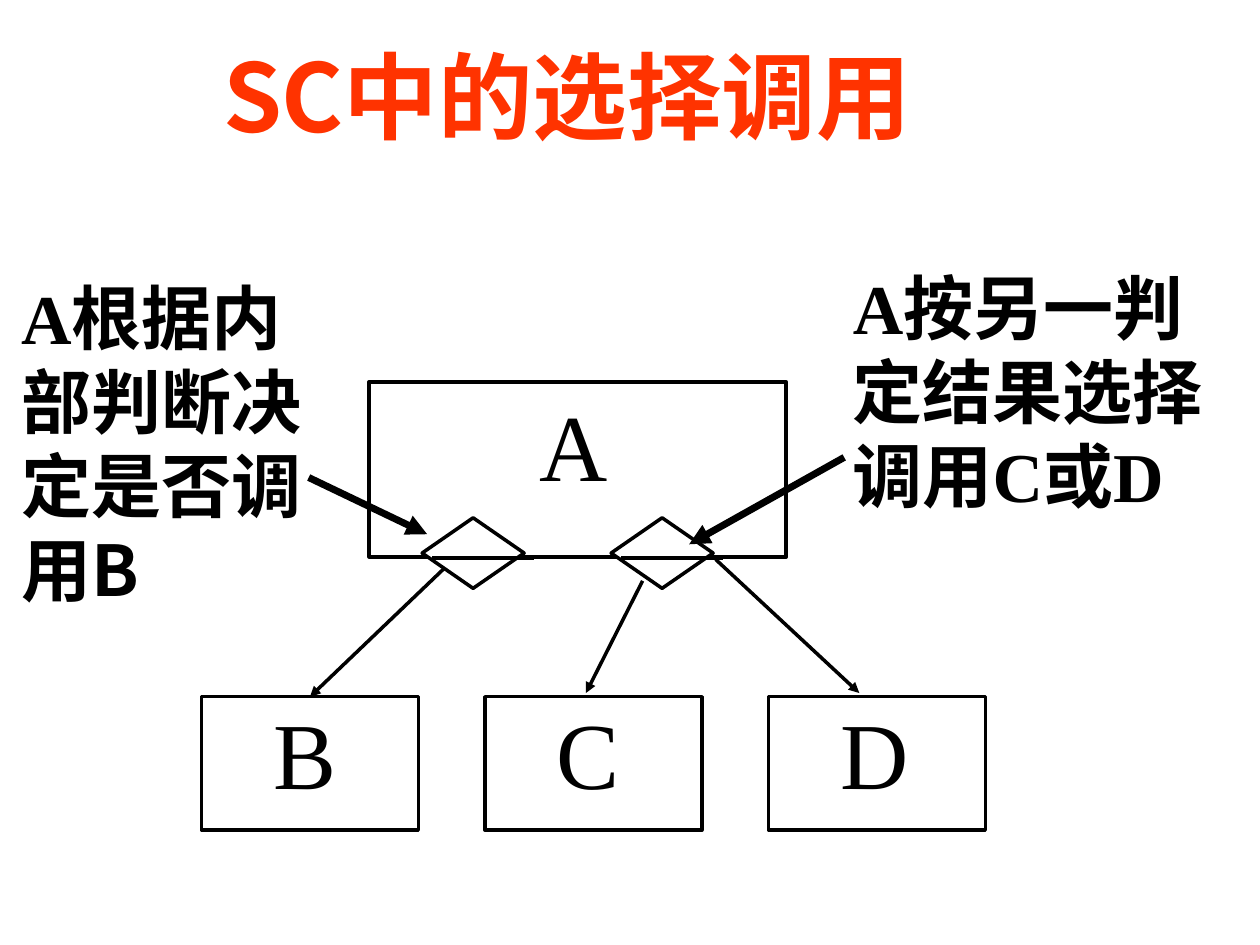
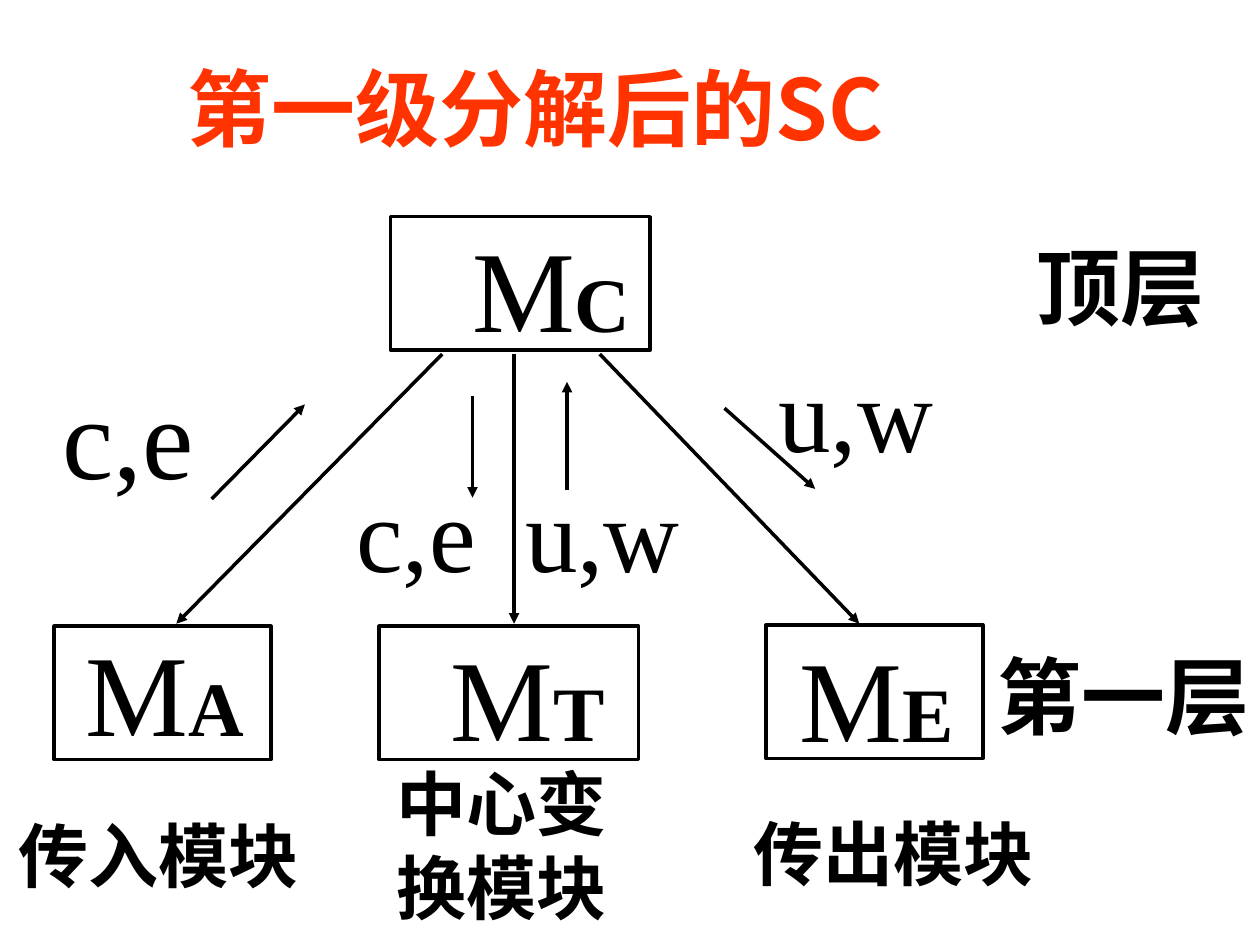
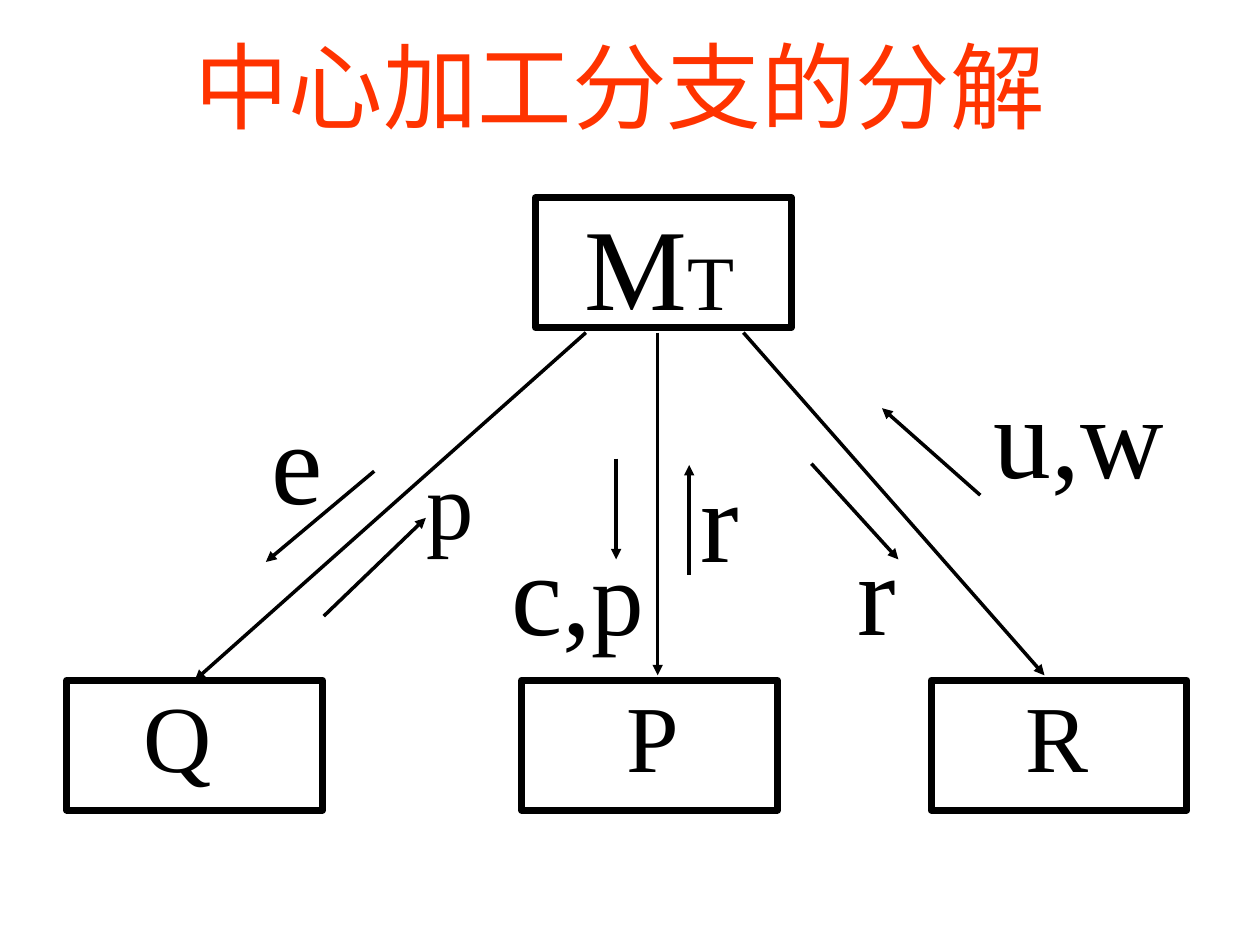
import pptx
import pptx.dml.color
import pptx.enum.shapes
import pptx.enum.text
import pptx.oxml
import pptx.oxml.ns
import pptx.util
from pptx.util import Inches

COLORS = {"title": "FF3300", "ink": "000000", "paper": "FFFFFF"}
FONTS = {"title": "Noto Sans CJK JP", "chinese": "Noto Sans CJK SC", "latin": "Times New Roman"}
SHAPES = pptx.enum.shapes.MSO_SHAPE
ANCHOR = pptx.enum.text.MSO_ANCHOR
ALIGN = pptx.enum.text.PP_ALIGN
AUTO_SIZE = pptx.enum.text.MSO_AUTO_SIZE


def rgb(name):
    return pptx.dml.color.RGBColor.from_string(COLORS[name])


def style_font(font, properties, name, size, bold, color):
    font.name = name
    font.size = pptx.util.Pt(size)
    font.bold = bold
    font.color.rgb = rgb(color)
    east_asian = pptx.oxml.parse_xml(f'<a:ea {pptx.oxml.ns.nsdecls("a")} typeface="{name}"/>')
    properties.find(pptx.oxml.ns.qn("a:latin")).addnext(east_asian)


def write_paragraph(para, spans, color="ink", font_name=None):
    styles = []
    for text, size, bold in spans:
        para.add_run().text = text
        name = font_name or FONTS["latin" if text.isascii() else "chinese"]
        styles.append((name, size, bold, color))
    if len(set(styles)) == 1:
        font = para.font
        properties = para._p.pPr.find(pptx.oxml.ns.qn("a:defRPr"))
        style_font(font, properties, *styles[0])
    else:
        for span, style in zip(para.runs, styles):
            style_font(span.font, span._r.get_or_add_rPr(), *style)


def add_page(deck, title, box, size, bold=True):
    page = deck.slides.add_slide(deck.slide_layouts[5])
    holder = page.shapes.title
    holder.left, holder.top, holder.width, holder.height = map(Inches, box)
    frame = holder.text_frame
    frame.auto_size = AUTO_SIZE.NONE
    frame.vertical_anchor = ANCHOR.MIDDLE
    para = frame.paragraphs[0]
    para.alignment = ALIGN.CENTER
    write_paragraph(para, [(title, size, bold)], "title", FONTS["title"])
    return page


def add_label(page, box, *lines, wrap=False):
    frame = page.shapes.add_textbox(*map(Inches, box)).text_frame
    frame.word_wrap = wrap
    frame.auto_size = AUTO_SIZE.SHAPE_TO_FIT_TEXT
    for index, spans in enumerate(lines):
        para = frame.add_paragraph() if index else frame.paragraphs[0]
        write_paragraph(para, spans)


def add_note(page, box, size, *texts):
    add_label(page, box, *[[(text, size, True)] for text in texts], wrap=True)


def add_outline(page, preset, box, weight=2):
    shape = page.shapes.add_shape(preset, *map(Inches, box))
    shape.shadow.inherit = False
    shape.fill.solid()
    shape.fill.fore_color.rgb = rgb("paper")
    shape.line.color.rgb = rgb("ink")
    shape.line.width = pptx.util.Pt(weight)
    return shape


def add_module(page, box, label_box, spans, weight=2):
    left, top = box[:2]
    shape = add_outline(page, SHAPES.RECTANGLE, box, weight)
    shift_x, shift_y, width, height = label_box
    add_label(page, (left + shift_x, top + shift_y, width, height), spans)
    return shape


def add_line(page, start, end, weight=2, arrow=True, target=None):
    line = page.shapes.add_connector(
        pptx.enum.shapes.MSO_CONNECTOR.STRAIGHT, *map(Inches, (*start, *end)))
    line.line.color.rgb = rgb("ink")
    line.line.width = pptx.util.Pt(weight)
    namespace = pptx.oxml.ns.nsdecls("a")
    if arrow:
        line.line._get_or_add_ln().append(
            pptx.oxml.parse_xml(f'<a:tailEnd {namespace} type="triangle"/>'))
    line._element.spPr.append(pptx.oxml.parse_xml(f"<a:effectLst {namespace}/>"))
    if target is not None:
        line.end_connect(target, 0)


def add_choice(page, left, top):
    add_outline(page, SHAPES.DIAMOND, (left, top, 0.81, 0.56))
    add_line(page, (left + 0.08, top + 0.32), (left + 0.89, top + 0.32), arrow=False)


def subscripted(letter, bold=True):
    return [("M", 66, False), (letter, 44, bold)]


def build_selection(deck):
    page = add_page(deck, "SC中的选择调用", (0.75, 0.25, 7.5, 1), 54)
    add_module(page, (2.93, 3.03, 3.31, 1.39), (1.25, -0.01, 0.74, 1), [("A", 54, False)])
    called = [
        add_module(page, (1.6 + 2.25 * index, 5.53, 1.72, 1.06),
                   (0.47, -0.06, width, 1), [(letter, 54, False)])
        for index, (letter, width) in enumerate([("B", 0.7), ("C", 0.7), ("D", 0.74)])
    ]
    add_line(page, (3.6, 4.44), (2.49, 5.5), target=called[0])
    add_line(page, (5.1, 4.61), (4.65, 5.5))
    add_line(page, (5.68, 4.44), (6.82, 5.5))
    for left in (3.35, 4.85):
        add_choice(page, left, 4.11)
    add_line(page, (2.45, 3.79), (3.39, 4.24), 4)
    add_line(page, (6.7, 3.63), (5.47, 4.32), 4)
    add_label(page, (0.07, 2.13, 2.68, 2.76),
              [("A", 40, True), ("根据内", 40, True)],
              [("部判断决定是否调用B", 40, True)], wrap=True)
    add_label(page, (6.67, 2.05, 3.25, 2.1),
              [("A", 40, True), ("按另一判", 40, True)],
              [(text, 40, True) for text in ("定结果选择调用", "C", "或", "D")], wrap=True)


def build_first_level(deck):
    page = add_page(deck, "第一级分解后的SC", (0.75, 0.42, 7, 0.85), 48)
    for letter, box, label_box in [
        ("C", (3.1, 1.72, 2.06, 1.06), (0.55, -0.05, 1.46, 1.2)),
        ("T", (3.01, 4.97, 2.06, 1.06), (0.47, -0.05, 1.42, 1.2)),
        ("A", (0.43, 4.97, 1.72, 1.06), (0.15, -0.09, 1.46, 1.2)),
        ("E", (6.08, 4.96, 1.72, 1.06), (0.17, -0.03, 1.42, 1.2)),
    ]:
        add_module(page, box, label_box, subscripted(letter))
    for start_x, end_x in [(4.08, 4.08), (4.76, 6.82), (3.51, 1.4)]:
        add_line(page, (start_x, 2.81), (end_x, 4.95))
    for start, end in [
        ((1.68, 3.96), (2.42, 3.21)),
        ((3.75, 3.14), (3.75, 3.95)),
        ((4.5, 3.89), (4.5, 3.03)),
        ((5.75, 3.24), (6.47, 3.88)),
    ]:
        add_line(page, start, end)
    for text, size, box in [
        ("c,e", 66, (0.4, 2.84, 1.24, 1.2)),
        ("c,e", 60, (2.73, 3.66, 1.15, 1.1)),
        ("u,w", 60, (4.07, 3.66, 1.43, 1.1)),
        ("u,w", 60, (6.08, 2.71, 1.43, 1.1)),
    ]:
        add_label(page, box, [(text, size, False)])
    add_note(page, (7.82, 5.07, 2.45, 0.9), 48, "第一层")
    add_note(page, (8.13, 1.82, 1.78, 0.9), 48, "顶层")
    add_note(page, (0.05, 6.4, 2.45, 0.76), 40, "传入模块")
    add_note(page, (5.88, 6.38, 2.45, 0.76), 40, "传出模块")
    add_note(page, (3.05, 5.99, 2.45, 1.43), 40, "中心变", "换模块")


def build_central_branch(deck):
    page = add_page(deck, "中心加工分支的分解", (0.75, 0.25, 8.33, 0.85), 54, False)
    add_module(page, (4.25, 1.57, 2.03, 1.03), (0.29, -0.07, 1.39, 1.2),
               subscripted("T", False), 4)
    parts = {
        letter: add_module(page, (left, 5.4, 2.03, 1.03), (shift, -0.07, width, 1),
                           [(letter, 54, False)], 4)
        for letter, left, shift, width in [
            ("P", 4.14, 0.73, 0.62), ("Q", 0.53, 0.51, 0.74), ("R", 7.39, 0.65, 0.7)]
    }
    for start_x, end_x, target in [
        (5.22, 5.22, None), (5.9, 8.29, None), (4.65, 1.54, parts["Q"])]:
        add_line(page, (start_x, 2.64), (end_x, 5.36), target=target)
    for start, end in [
        ((2.97, 3.74), (2.11, 4.46)),
        ((4.89, 3.64), (4.89, 4.44)),
        ((5.47, 4.56), (5.47, 3.69)),
        ((7.78, 3.93), (7, 3.24)),
        ((2.57, 4.89), (3.38, 4.11)),
        ((6.44, 3.68), (7.13, 4.44)),
    ]:
        add_line(page, start, end)
    for box, spans in [
        ((2.06, 3.04, 0.61, 1.2), [("e", 66, False)]),
        ((3.96, 4.08, 1.25, 1.2), [("c,", 66, False), ("p", 60, False)]),
        ((5.46, 3.5, 0.5, 1.2), [("r", 66, False)]),
        ((7.79, 2.83, 1.55, 1.2), [("u,w", 66, False)]),
        ((3.29, 3.48, 0.57, 1), [("p", 54, False)]),
        ((6.71, 4.08, 0.5, 1.2), [("r", 66, False)]),
    ]:
        add_label(page, box, spans)


def main():
    deck = pptx.Presentation()
    deck.slide_width, deck.slide_height = Inches(10), Inches(7.5)
    build_selection(deck)
    build_first_level(deck)
    build_central_branch(deck)
    deck.save("out.pptx")


if __name__ == "__main__":
    main()
